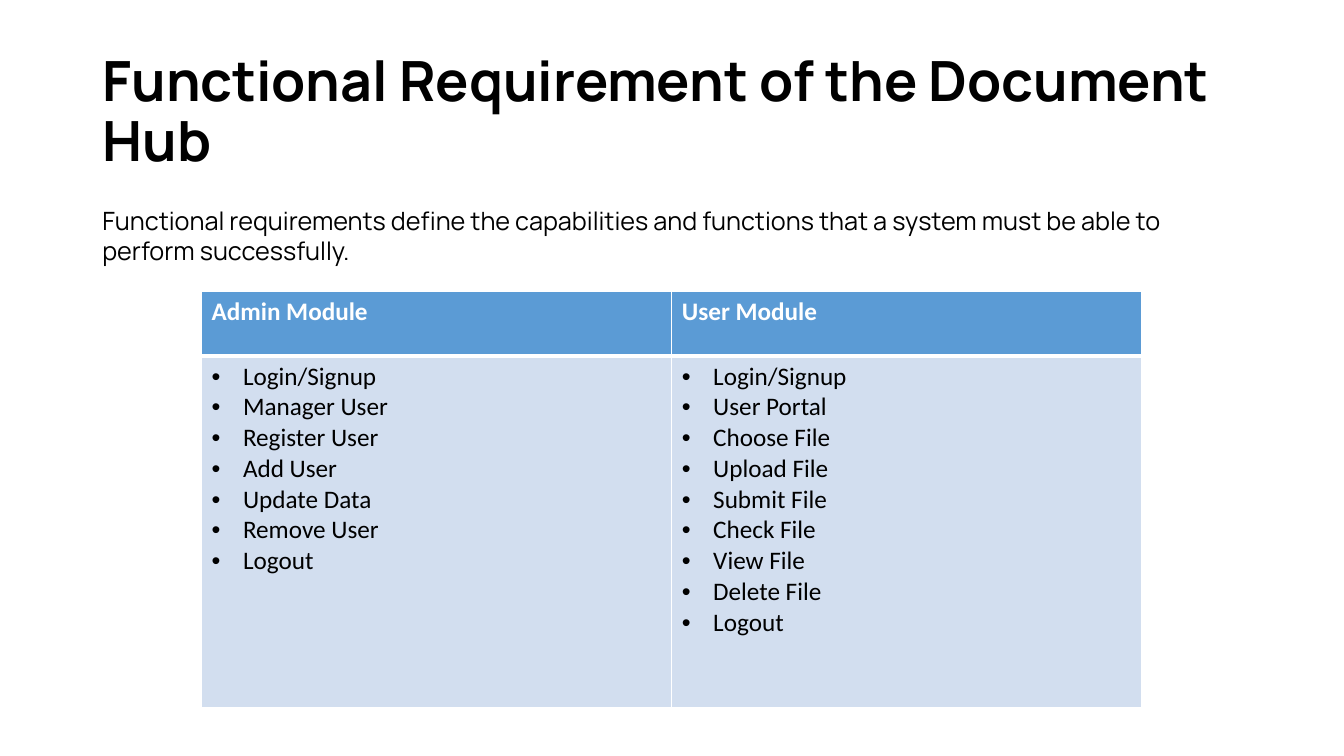
from lxml.etree import SubElement
from pptx import Presentation
from pptx.dml.color import RGBColor
from pptx.enum.text import MSO_ANCHOR, MSO_AUTO_SIZE, PP_ALIGN
from pptx.oxml.ns import qn
from pptx.util import Cm, Pt

BLACK = RGBColor(0x00, 0x00, 0x00)
WHITE = RGBColor(0xFF, 0xFF, 0xFF)
HEADER_BLUE = RGBColor(0x5B, 0x9B, 0xD5)
BODY_BLUE = RGBColor(0xD2, 0xDE, 0xEF)

TITLE_FONT = {"name": "Manrope", "size": Pt(39.6), "bold": True}
INTRO_FONT = {"name": "Manrope", "size": Pt(18), "bold": False}
HEADER_FONT = {"name": "Calibri", "size": Pt(18), "bold": True}
ITEM_FONT = {"name": "Calibri", "size": Pt(18), "bold": False}

MODULES = {
    "Admin Module": ["Login/Signup", "Manager User", "Register User", "Add User",
                     "Update Data", "Remove User", "Logout"],
    "User Module": ["Login/Signup", "User Portal", "Choose File", "Upload File",
                    "Submit File", "Check File", "View File", "Delete File", "Logout"],
}


def write(paragraph, text, font_format, color):
    run = paragraph.add_run()
    run.text = text
    for attribute, value in font_format.items():
        setattr(run.font, attribute, value)
    run.font.color.rgb = color


def add_bullet(paragraph):
    properties = paragraph._p.get_or_add_pPr()
    properties.set("marL", str(Cm(0.79)))
    properties.set("indent", str(-Cm(0.79)))
    SubElement(properties, qn("a:buFont"), typeface="Arial")
    SubElement(properties, qn("a:buChar"), char="•")


def style_cell(cell, fill_color, widths):
    """Borders come before the fill in the cell properties."""
    properties = cell._tc.get_or_add_tcPr()
    for side, width in widths.items():
        border = SubElement(properties, qn(f"a:ln{side}"), w=str(Pt(width)))
        fill = SubElement(border, qn("a:solidFill"))
        SubElement(fill, qn("a:srgbClr"), val=str(WHITE))
    cell.fill.solid()
    cell.fill.fore_color.rgb = fill_color


def add_title(slide, text):
    title = slide.shapes.title
    place = {"left": Cm(2.33), "top": Cm(1.01), "width": Cm(29.21), "height": Cm(3.68)}
    for attribute, value in place.items():
        setattr(title, attribute, value)
    frame = title.text_frame
    frame_format = {"word_wrap": True, "auto_size": MSO_AUTO_SIZE.NONE,
                    "vertical_anchor": MSO_ANCHOR.MIDDLE}
    for attribute, value in frame_format.items():
        setattr(frame, attribute, value)
    heading = frame.paragraphs[0]
    heading.alignment = PP_ALIGN.LEFT
    heading.line_spacing = 0.9
    write(heading, text, TITLE_FONT, BLACK)


def add_intro(slide, text):
    intro = slide.shapes.add_textbox(Cm(2.33), Cm(5.05), Cm(27.91), Cm(2.57))
    intro.text_frame.word_wrap = True
    write(intro.text_frame.paragraphs[0], text, INTRO_FONT, BLACK)


def add_module_table(slide, modules):
    module_table = slide.shapes.add_table(
        2, len(modules), Cm(5.08), Cm(7.34), Cm(23.7), Cm(10.49)).table
    for row, height in zip(module_table.rows, (Cm(1.63), Cm(8.86))):
        row.height = height

    for column, (module, features) in enumerate(modules.items()):
        # Header
        header = module_table.cell(0, column)
        style_cell(header, HEADER_BLUE, {"L": 1, "R": 1, "T": 1, "B": 3})
        write(header.text_frame.paragraphs[0], module, HEADER_FONT, WHITE)

        # Feature list
        body = module_table.cell(1, column)
        style_cell(body, BODY_BLUE, {"L": 1, "R": 1, "T": 3, "B": 1})
        frame = body.text_frame
        for index, feature in enumerate(features):
            item = frame.add_paragraph() if index else frame.paragraphs[0]
            add_bullet(item)
            write(item, feature, ITEM_FONT, BLACK)


def main():
    presentation = Presentation()
    presentation.slide_width = Cm(33.87)
    presentation.slide_height = Cm(19.05)
    title_only = presentation.slide_layouts[5]
    slide = presentation.slides.add_slide(title_only)

    add_title(slide, "Functional Requirement of the Document Hub")
    add_intro(slide, "Functional requirements define the capabilities and functions "
                     "that a system must be able to perform successfully.")
    add_module_table(slide, MODULES)
    presentation.save("out.pptx")


if __name__ == "__main__":
    main()
